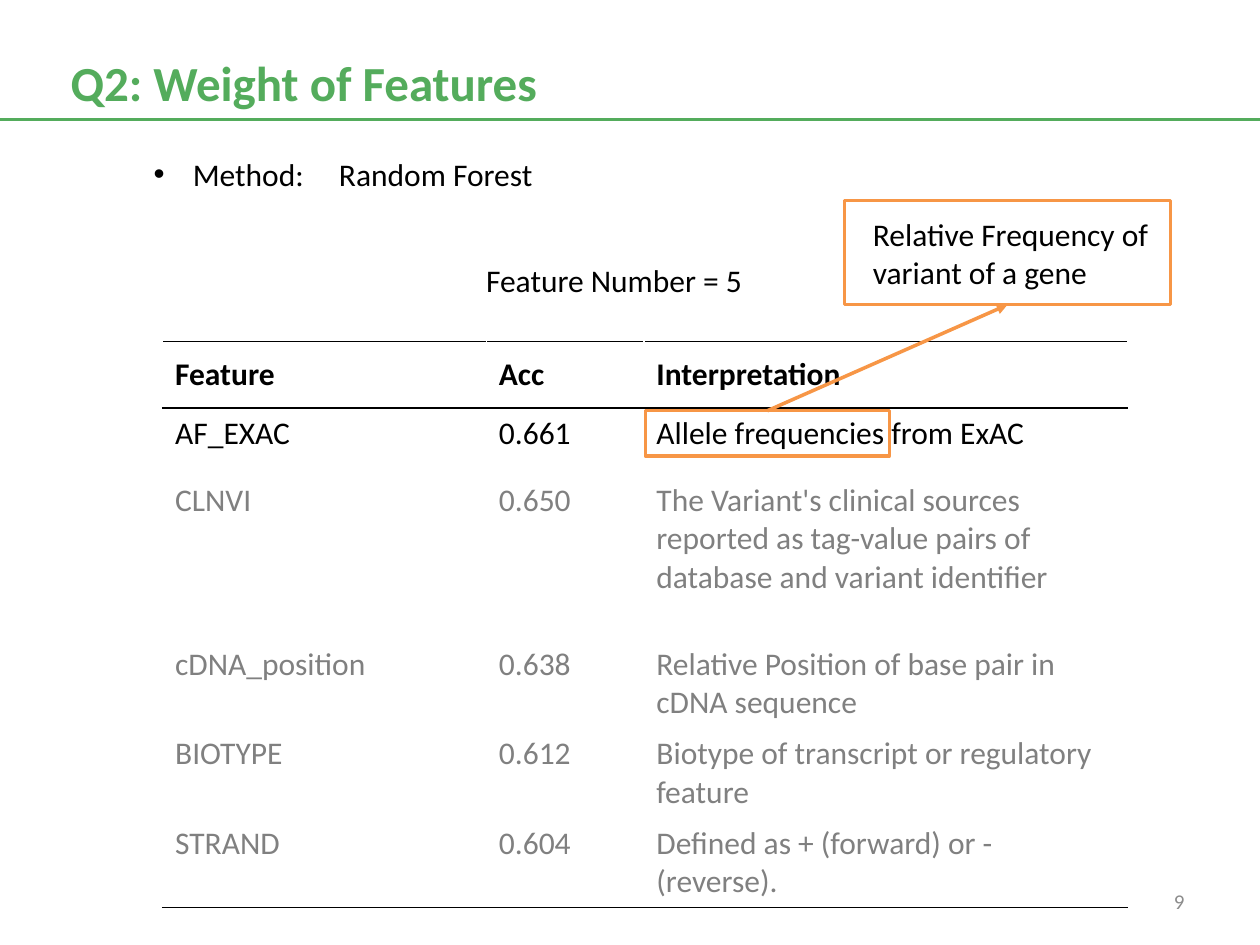
"""Build the feature-weight slide with its table and callout."""
from lxml import etree
from pptx import Presentation
from pptx import util as u
from pptx.dml.color import RGBColor
from pptx.enum import shapes, text
from pptx.oxml.ns import qn

THEME = {
    "font": "Calibri", "black": "000000", "gray": "808080", "pale": "8C8C8C",
    "green": "54AC5C", "orange": "F79646", "white": "FFFFFF",
    "title": 28, "body": 18, "small": 12,
}
TITLE = "Q2: Weight of Features"
METHOD = "Method:\tRandom Forest"
CAPTION = "Feature Number = 5"
CALLOUT = "Relative Frequency of variant of a gene"
PAGE = "9"
FEATURES = [
    ("Feature", "Acc", "Interpretation"),
    ("AF_EXAC", "0.661", "Allele frequencies from ExAC"),
    ("CLNVI", "0.650", "The Variant's clinical sources reported as tag-value pairs "
     "of database and variant identifier"),
    ("cDNA_position", "0.638", "Relative Position of base pair in cDNA sequence"),
    ("BIOTYPE", "0.612", "Biotype of transcript or regulatory feature"),
    ("STRAND", "0.604", "Defined as + (forward) or - (reverse)."),
]
COLUMN_WIDTHS = [2.57, 1.25, 3.84]
ROW_HEIGHTS = [0.53, 0.53, 1.3, 0.7, 0.7, 0.7]
RULES = {0: ("lnT", "lnB"), 1: ("lnT",), len(FEATURES) - 1: ("lnB",)}


def color(name):
    return RGBColor.from_string(THEME[name])


def inches(*values):
    return [u.Inches(value) for value in values]


def apply(target, values):
    for name, value in values.items():
        setattr(target, name, value)


def add_xml(parent, tag, **attributes):
    return etree.SubElement(parent, qn(tag), attributes)


def write(frame, words, size="body", ink="black", bold=False,
          anchor=text.MSO_ANCHOR.TOP, **paragraph_format):
    apply(frame, {"word_wrap": True, "auto_size": text.MSO_AUTO_SIZE.NONE,
                  "vertical_anchor": anchor})
    paragraph = frame.paragraphs[0]
    apply(paragraph, {"alignment": text.PP_ALIGN.LEFT, **paragraph_format})
    run = paragraph.add_run()
    run.text = words
    apply(run.font, {"name": THEME["font"], "size": u.Pt(THEME[size]), "bold": bold})
    run.font.color.rgb = color(ink)
    return paragraph


def place(shape, *box):
    apply(shape, dict(zip(("left", "top", "width", "height"), inches(*box))))


def add_box(parent, box, fill=None):
    shape = parent.add_shape(shapes.MSO_SHAPE.RECTANGLE, *inches(*box))
    shape.shadow.inherit = False
    if fill:
        shape.fill.solid()
        shape.fill.fore_color.rgb = color(fill)
    else:
        shape.fill.background()
    shape.line.color.rgb = color("orange")
    shape.line.width = u.Pt(1.75)
    return shape


def add_line(slide, start, end, ink, width):
    line = slide.shapes.add_connector(shapes.MSO_CONNECTOR.STRAIGHT, *inches(*start, *end))
    line.line.color.rgb = color(ink)
    line.line.width = u.Pt(width)
    add_xml(line._element.spPr, "a:effectLst")
    return line


def add_rule(cell, side, position):
    border = etree.Element(qn(f"a:{side}"), w=str(u.Pt(1)))
    add_xml(add_xml(border, "a:solidFill"), "a:srgbClr", val=THEME["black"])
    cell._tc.get_or_add_tcPr().insert(position, border)


def add_features(slide):
    box = (1.29, 2.71, sum(COLUMN_WIDTHS), sum(ROW_HEIGHTS))
    table = slide.shapes.add_table(len(FEATURES), len(COLUMN_WIDTHS), *inches(*box)).table
    apply(table, {"first_row": False, "horz_banding": False})
    for column, width in zip(table.columns, COLUMN_WIDTHS):
        column.width = u.Inches(width)
    for index, (row, height) in enumerate(zip(table.rows, ROW_HEIGHTS)):
        row.height = u.Inches(height)
        for cell, words in zip(row.cells, FEATURES[index]):
            write(cell.text_frame, words, ink="black" if index < 2 else "gray",
                  bold=index == 0)
            cell.vertical_anchor = (text.MSO_ANCHOR.TOP if index
                                    else text.MSO_ANCHOR.MIDDLE)
            cell.fill.background()
            for position, side in enumerate(RULES.get(index, ())):
                add_rule(cell, side, position)


def add_method(body):
    place(body, 1.12, 1.18, 3.5, 0.4)
    paragraph = write(body.text_frame, METHOD, space_before=u.Pt(0), space_after=u.Pt(6))
    properties = paragraph._p.get_or_add_pPr()
    properties.set("marL", str(u.Inches(0.31)))
    properties.set("indent", str(u.Inches(-0.31)))
    add_xml(properties, "a:buFont", typeface="Arial")
    add_xml(properties, "a:buChar", char="•")
    add_xml(add_xml(properties, "a:tabLst"), "a:tab", pos=str(u.Inches(1.47)), algn="l")


def add_callout(slide):
    group = slide.shapes.add_group_shape()
    frame = add_box(group.shapes, (6.7, 1.59, 2.59, 0.83), "white")
    label = group.shapes.add_textbox(*inches(6.83, 1.66, 2.46, 0.71))
    write(label.text_frame, CALLOUT)
    highlight = add_box(slide.shapes, (5.12, 3.26, 1.94, 0.36))
    arrow = add_line(slide, (6.09, 3.26), (8, 2.42), "orange", 2)
    arrow.begin_connect(highlight, 0)
    arrow.end_connect(frame, 2)
    add_xml(arrow.line._get_or_add_ln(), "a:tailEnd", type="triangle")


def main():
    presentation = Presentation()
    apply(presentation, {"slide_width": u.Inches(10), "slide_height": u.Inches(7.5)})
    slide = presentation.slides.add_slide(presentation.slide_layouts[1])
    title, body = slide.placeholders
    place(title, 0.46, 0.37, 5, 0.57)
    write(title.text_frame, TITLE, "title", "green", True, space_after=u.Pt(6))
    add_method(body)
    caption = slide.shapes.add_textbox(*inches(3.76, 2.02, 2.4, 0.4))
    write(caption.text_frame, CAPTION)
    add_features(slide)
    add_line(slide, (0, 0.95), (10, 0.95), "green", 1.38)
    add_callout(slide)
    number = slide.shapes.add_textbox(*inches(7.17, 6.95, 2.33, 0.4))
    write(number.text_frame, PAGE, "small", "pale", anchor=text.MSO_ANCHOR.MIDDLE,
          alignment=text.PP_ALIGN.RIGHT)
    presentation.save("out.pptx")


if __name__ == "__main__":
    main()
